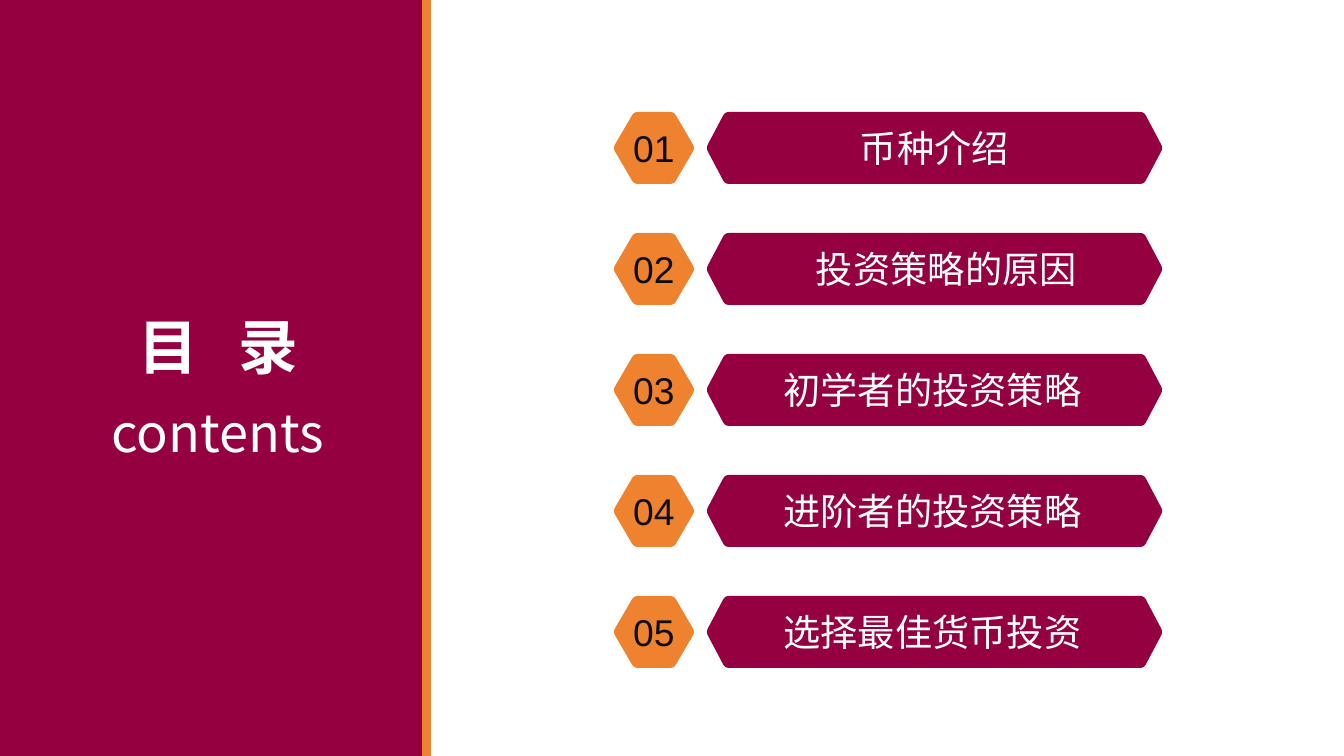
from lxml import etree
from pptx import Presentation
from pptx import util as u
from pptx.dml.color import RGBColor
from pptx.enum import shapes, text
from pptx.oxml.ns import qn

PX = 12192000 / 1344
THEME = {
    "wine": RGBColor(0x95, 0x00, 0x40),
    "orange": RGBColor(0xEE, 0x82, 0x2F),
    "ink": RGBColor(0x0D, 0x0D, 0x0D),
    "white": RGBColor(0xFF, 0xFF, 0xFF),
    "latin": "Arial",
    "cjk": "Noto Sans CJK SC",
    "item": u.Pt(26.6),
    "heading": u.Pt(42.6),
    "subheading": u.Pt(37.4),
}


def rounded_hexagon(left, top, width, height, slant, cut=4):
    """Add a pointed bar whose six corners are rounded, cut px along each side."""
    right, bottom, middle = left + width, top + height, top + height / 2
    corners = [(left + slant, top), (right - slant, top), (right, middle),
               (right - slant, bottom), (left + slant, bottom), (left, middle)]
    outline = []
    for i, corner in enumerate(corners):
        ends = []
        for other in (corners[i - 1], corners[(i + 1) % 6]):
            dx, dy = other[0] - corner[0], other[1] - corner[1]
            share = cut / (dx * dx + dy * dy) ** 0.5
            ends.append((corner[0] + dx * share, corner[1] + dy * share))
        for t in (0, 0.25, 0.5, 0.75, 1):
            outline.append([PX * ((1 - t) ** 2 * a + 2 * t * (1 - t) * c + t * t * b)
                            for a, c, b in zip(ends[0], corner, ends[1])])
    builder = slide.shapes.build_freeform(*outline[0], scale=1.0)
    builder.add_line_segments(outline[1:], close=True)
    return builder.convert_to_shape()


def add_run(paragraph, wording, face, **font_format):
    run = paragraph.add_run()
    run.text = wording
    run.font.color.rgb = font_format.pop("color")
    run.font.name = face
    for key, value in font_format.items():
        setattr(run.font, key, value)
    etree.SubElement(run._r.get_or_add_rPr(), qn("a:ea"), typeface=face)
    return run


deck = Presentation()
deck.slide_width, deck.slide_height = u.Emu(12192000), u.Emu(6858000)
slide = deck.slides.add_slide(deck.slide_layouts[6])

# Side panel with its orange edge
for left, width, color in ((13, 418, "orange"), (0, 422, "wine")):
    panel = slide.shapes.add_shape(shapes.MSO_SHAPE.RECTANGLE, round(left * PX), 0,
                                   round(width * PX), deck.slide_height)
    panel.shadow.inherit = False
    panel.fill.solid()
    panel.fill.fore_color.rgb = THEME[color]
    panel.line.fill.background()

# Heading
heading = slide.shapes.add_textbox(*(round(v * PX) for v in (29, 283, 378, 186))).text_frame
heading.word_wrap = True
title, subtitle = heading.paragraphs[0], heading.add_paragraph()
for paragraph in (title, subtitle):
    paragraph.alignment = text.PP_ALIGN.CENTER
    paragraph.line_spacing = 1.3
title_runs = [add_run(title, part, THEME["cjk"], size=THEME["heading"], bold=True,
                      color=THEME["white"]) for part in ("目", " ", "录")]
title_runs[1]._r.get_or_add_rPr().set("spc", "1900")
add_run(subtitle, "contents", THEME["cjk"], size=THEME["subheading"], bold=False,
        color=THEME["white"])

# Agenda: wording and sideways shift of each entry in px
agenda = [("币种介绍", 0), ("投资策略的原因", 12), ("初学者的投资策略", -2),
          ("进阶者的投资策略", -2), ("选择最佳货币投资", -2)]
for row, (topic, shift) in enumerate(agenda):
    top = 112 + 121 * row
    parts = [
        (613, 82, 21, "orange", f"{row + 1:02}", "latin", "ink", 0),
        (706, 457, 19, "wine", topic, "cjk", "white", shift),
    ]
    for left, width, slant, fill, wording, face, color, nudge in parts:
        label = rounded_hexagon(left, top, width, 72, slant)
        label.shadow.inherit = False
        label.fill.solid()
        label.fill.fore_color.rgb = THEME[fill]
        label.line.fill.background()
        frame_format = {
            "word_wrap": True,
            "vertical_anchor": text.MSO_ANCHOR.MIDDLE,
            "margin_left": round((10 + 2 * nudge) * PX),
            "margin_right": round(10 * PX),
        }
        for key, value in frame_format.items():
            setattr(label.text_frame, key, value)
        paragraph = label.text_frame.paragraphs[0]
        paragraph.alignment = text.PP_ALIGN.CENTER
        add_run(paragraph, wording, THEME[face], size=THEME["item"], color=THEME[color])

deck.save("out.pptx")
